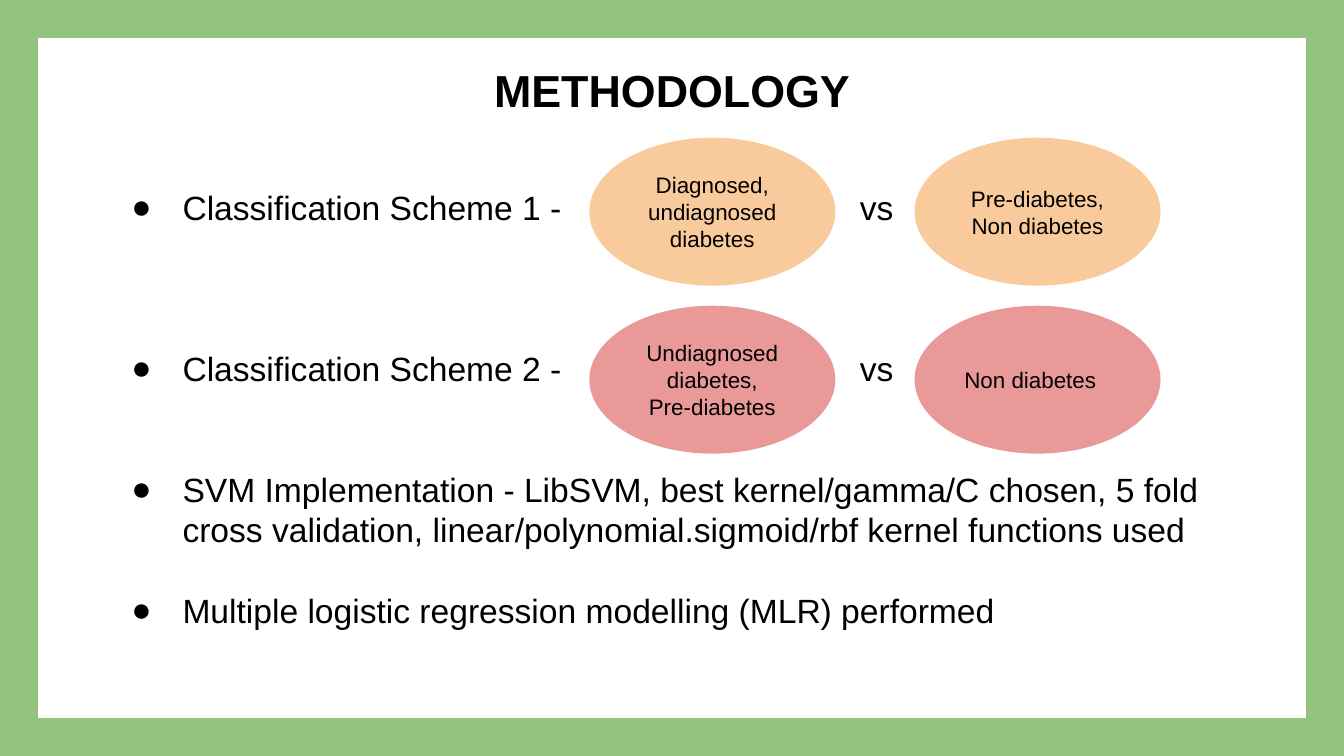
from lxml.etree import SubElement
from pptx import Presentation
from pptx.dml.color import RGBColor
from pptx.enum.shapes import MSO_SHAPE as Shape
from pptx.enum.text import MSO_ANCHOR as Anchor, PP_ALIGN as Align
from pptx.oxml.ns import qn
from pptx.util import Inches, Pt

FONT = "Arial"
BLACK = "000000"
GREEN = "93C47D"
ORANGE = "F9CB9C"
PINK = "EA9999"
WIDTH = 10
HEIGHT = WIDTH * 9 / 16
LINE_HEIGHT = 0.3
BULLETS = [
    ("Classification Scheme 1 -", 0),
    ("Classification Scheme 2 -", 3),
    ("SVM Implementation - LibSVM, best kernel/gamma/C chosen, 5 fold "
     "cross validation, linear/polynomial.sigmoid/rbf kernel functions used", 2),
    ("Multiple logistic regression modelling (MLR) performed", 1),
]
SCHEMES = [
    (1.03, 1.29, ORANGE, [
        (["Diagnosed, undiagnosed diabetes"], Align.CENTER),
        (["Pre-diabetes,", "Non diabetes"], Align.CENTER)]),
    (2.28, 2.49, PINK, [
        (["Undiagnosed diabetes,", "Pre-diabetes"], Align.CENTER),
        (["Non diabetes"], Align.LEFT)]),
]


def color(value):
    """Return the colour for a hex string."""
    return RGBColor.from_string(value)


def write(shape, lines, size=18, bold=False, align=Align.LEFT, anchor=Anchor.TOP):
    """Write one paragraph per line into a shape and return the paragraphs."""
    frame = shape.text_frame
    frame.word_wrap = True
    frame.vertical_anchor = anchor
    frame.margin_left = frame.margin_right = Inches(0.1)
    frame.margin_top = frame.margin_bottom = Inches(0.1)
    frame.text = "\n".join(lines)
    for paragraph in frame.paragraphs:
        paragraph.alignment = align
        for run in paragraph.runs:
            run.font.name = FONT
            run.font.size = Pt(size)
            run.font.bold = bold
            run.font.color.rgb = color(BLACK)
    return frame.paragraphs


def add_filled(slide, kind, box, fill):
    """Add a preset shape with the same fill and line colour."""
    shape = slide.shapes.add_shape(kind, *map(Inches, box))
    shape.shadow.inherit = False
    shape.fill.solid()
    shape.fill.fore_color.rgb = color(fill)
    shape.line.color.rgb = color(fill)
    shape.line.width = Pt(0.75)
    return shape


def place_title(slide, left, top, width, height):
    """Move and format the title placeholder."""
    title = slide.shapes.title
    title.left, title.top = Inches(left), Inches(top)
    title.width, title.height = Inches(width), Inches(height)
    write(title, ["METHODOLOGY"], size=24, bold=True, align=Align.CENTER,
          anchor=Anchor.BOTTOM)


def add_bullets(slide, left, top, width, height):
    """Add the bulleted list, spaced in whole lines."""
    box = slide.shapes.add_textbox(*map(Inches, (left, top, width, height)))
    paragraphs = write(box, [text for text, gap in BULLETS])
    for paragraph, (text, gap) in zip(paragraphs, BULLETS):
        paragraph.space_before = Pt(gap * LINE_HEIGHT * 72)
        properties = paragraph._p.get_or_add_pPr()
        properties.set("marL", str(Inches(0.5)))
        properties.set("indent", str(Inches(-0.38)))
        bullet_color = SubElement(properties, qn("a:buClr"))
        SubElement(bullet_color, qn("a:srgbClr"), val=BLACK)
        SubElement(properties, qn("a:buFont"), typeface=FONT)
        SubElement(properties, qn("a:buChar"), char="●")


def add_scheme(slide, left, top, text_top, fill, groups):
    """Add two class ellipses with a versus label between them."""
    for index, (lines, align) in enumerate(groups):
        box = (left + index * 2.42, top, 1.82, 1.09)
        ellipse = add_filled(slide, Shape.OVAL, box, fill)
        write(ellipse, lines, size=12, align=align, anchor=Anchor.MIDDLE)
    label = slide.shapes.add_textbox(
        *map(Inches, (left + 1.91, text_top, 0.5, 0.5)))
    write(label, ["vs"])


def main():
    """Build and save the methodology slide."""
    presentation = Presentation()
    presentation.slide_width = Inches(WIDTH)
    presentation.slide_height = Inches(HEIGHT)
    slide = presentation.slides.add_slide(presentation.slide_layouts[5])
    place_title(slide, 0.12, 0.34, 9.76, 0.63)
    add_bullets(slide, 0.76, 1.29, 8.51, 4.02)
    border = add_filled(slide, Shape.FRAME, (0, 0, WIDTH, HEIGHT), GREEN)
    border.adjustments[0] = 0.049
    for top, text_top, fill, groups in SCHEMES:
        add_scheme(slide, 4.39, top, text_top, fill, groups)
    presentation.save("out.pptx")


if __name__ == "__main__":
    main()
